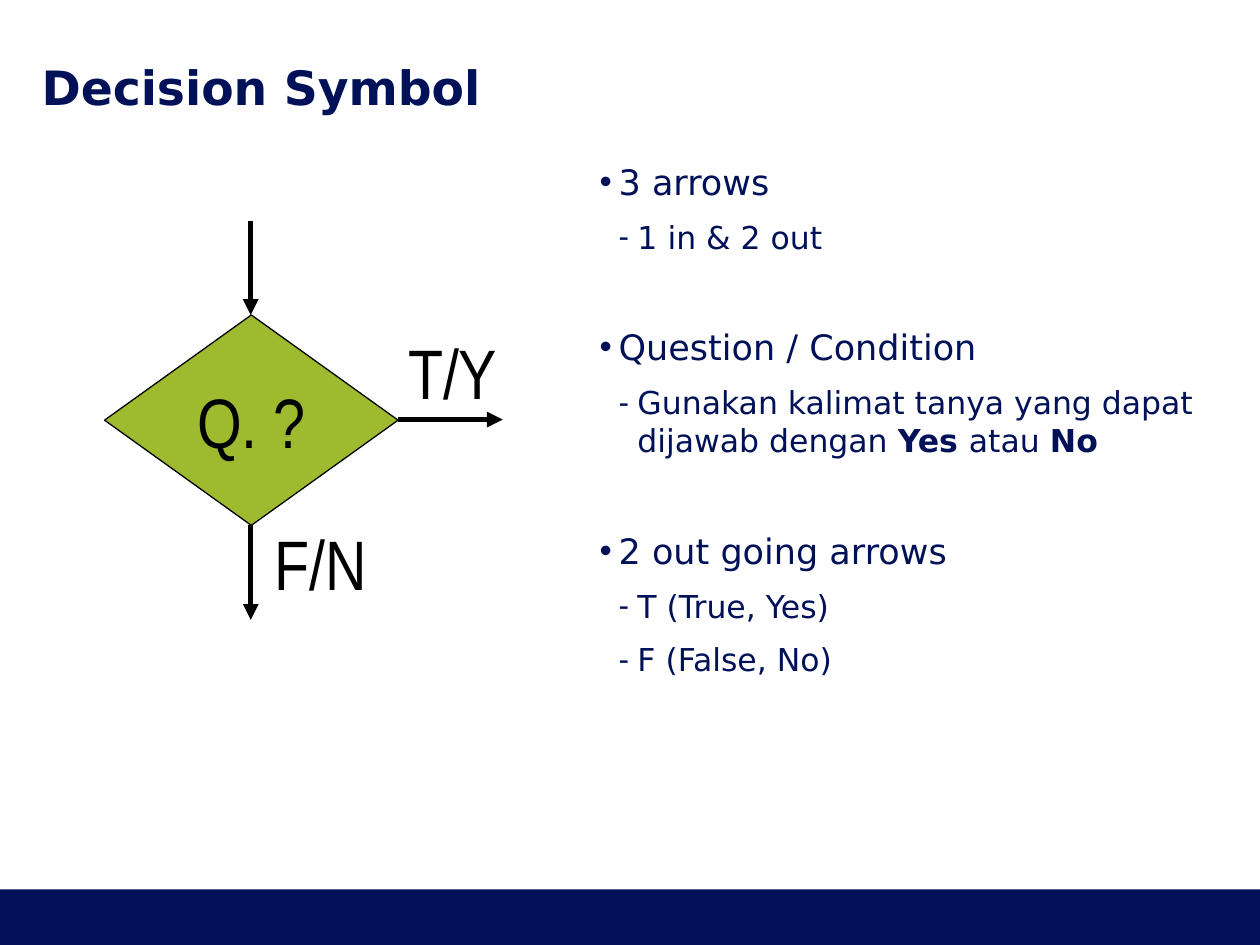
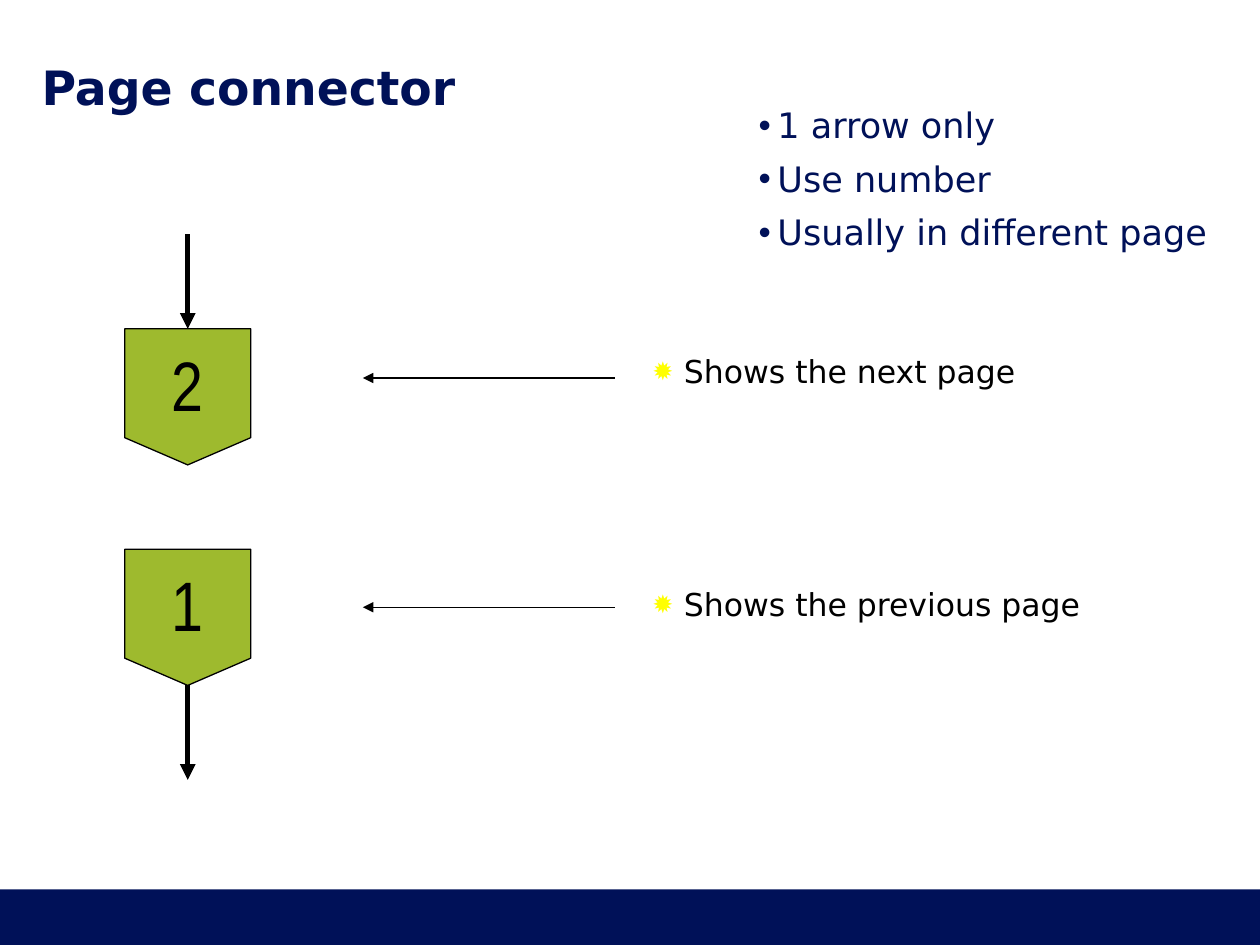
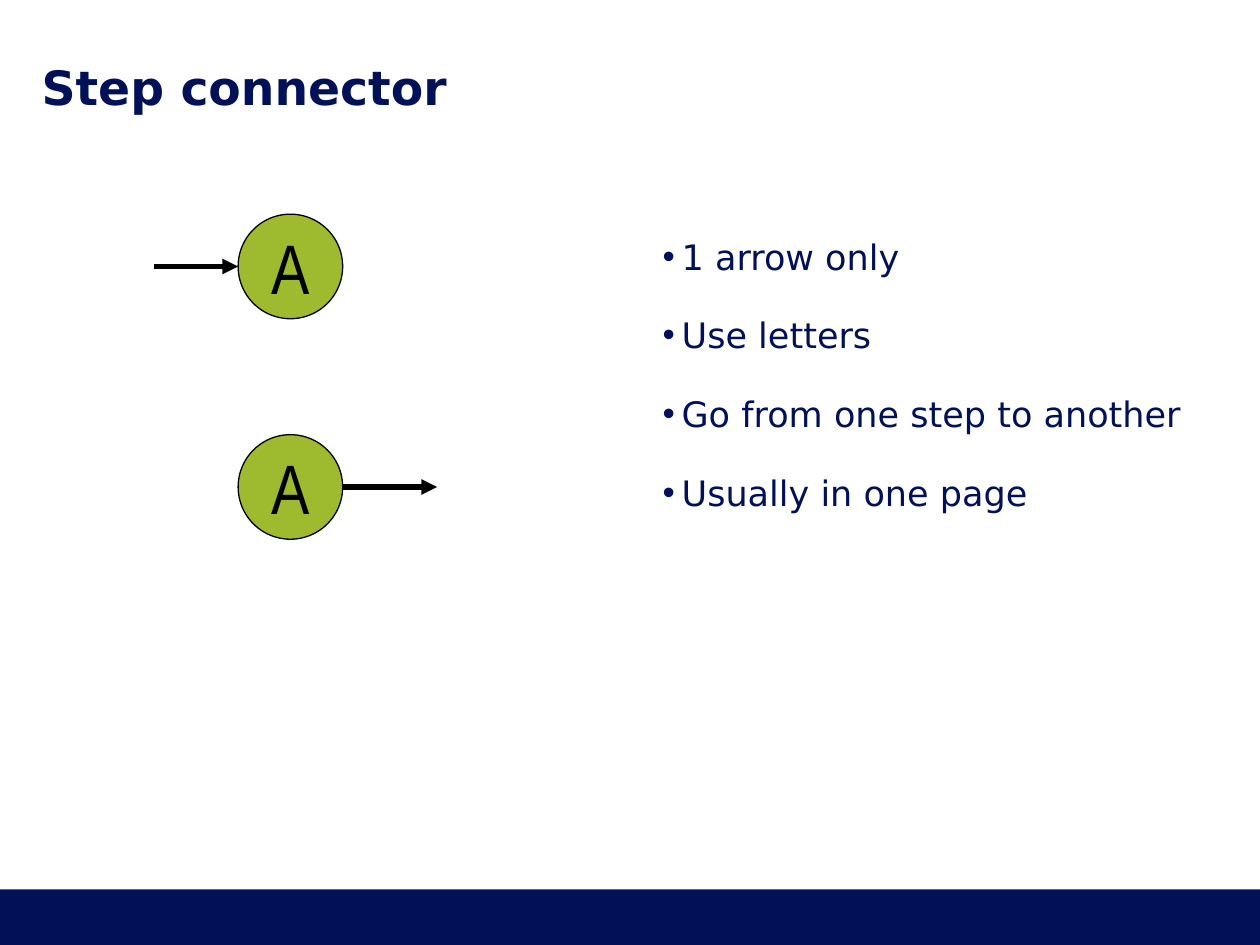
from lxml import etree
from pptx import Presentation
from pptx.dml.color import RGBColor
from pptx.enum import shapes, text
from pptx.oxml.ns import qn
from pptx.util import Inches, Pt

NAVY = RGBColor(0x00, 0x11, 0x58)
GREEN = RGBColor(0x9E, 0xBA, 0x2E)
YELLOW = RGBColor(0xFF, 0xFF, 0x00)
BLACK = RGBColor(0x00, 0x00, 0x00)
BODY_FONT = "DejaVu Sans"
BULLET_FONT = "Arial"
SYMBOL_FONT = "Arial Narrow"
SHAPE = shapes.MSO_SHAPE
ARROW = 0.75  # usual length of a flow arrow
INDENT = 0.15  # bullet indent per level
SECTION_GAP = 35.5  # points above a new bullet group


class Deck:
    """Holds the presentation, its style and the current slide."""

    def __init__(self):
        self.prs = Presentation()
        self.prs.slide_width, self.prs.slide_height = Inches(10), Inches(7.5)
        self.slide = None

    def new_slide(self, title):
        self.slide = self.prs.slides.add_slide(self.prs.slide_layouts[5])
        # Footer band
        self.shape(SHAPE.RECTANGLE, 0, 7.06, 10, 0.44, NAVY)
        # Title
        sp = self.slide.shapes.title
        sp.left, sp.top = Inches(0.33), Inches(0.45)
        sp.width, sp.height = Inches(9.34), Inches(0.47)
        tf = self.frame(sp, inset=0, anchor=text.MSO_ANCHOR.MIDDLE)
        p = tf.paragraphs[0]
        p.alignment = text.PP_ALIGN.LEFT
        self.run(p, title, 27, NAVY, bold=True)

    def frame(self, sp, inset=None, anchor=text.MSO_ANCHOR.TOP, wrap=True):
        tf = sp.text_frame
        tf.auto_size = text.MSO_AUTO_SIZE.NONE
        tf.word_wrap = wrap
        tf.vertical_anchor = anchor
        if inset is not None:
            tf.margin_left = tf.margin_right = Inches(inset)
            tf.margin_top = tf.margin_bottom = Inches(inset)
        return tf

    def run(self, p, words, size, color, font=BODY_FONT, bold=False):
        r = p.add_run()
        r.text = words
        r.font.name, r.font.size, r.font.bold = font, Pt(size), bold
        r.font.color.rgb = color

    def bullet(self, p, char, color, margin, hang, percent=100):
        pPr = p._p.get_or_add_pPr()
        pPr.set("marL", str(Inches(margin)))
        pPr.set("indent", str(-Inches(hang)))
        clr = etree.SubElement(pPr, qn("a:buClr"))
        etree.SubElement(clr, qn("a:srgbClr"), val=str(color))
        etree.SubElement(pPr, qn("a:buSzPct"), val=str(percent * 1000))
        etree.SubElement(pPr, qn("a:buFont"), typeface=BULLET_FONT)
        etree.SubElement(pPr, qn("a:buChar"), char=char)

    def shape(self, kind, x, y, w, h, fill, line=None):
        sp = self.slide.shapes.add_shape(kind, Inches(x), Inches(y), Inches(w), Inches(h))
        sp.shadow.inherit = False
        sp.fill.solid()
        sp.fill.fore_color.rgb = fill
        if line is None:
            sp.line.fill.background()
        else:
            sp.line.color.rgb, sp.line.width = line, Pt(0.75)
        return sp

    def symbol(self, kind, x, y, w, h, label):
        sp = self.shape(kind, x, y, w, h, GREEN, BLACK)
        tf = self.frame(sp, anchor=text.MSO_ANCHOR.MIDDLE, wrap=False)
        p = tf.paragraphs[0]
        p.alignment = text.PP_ALIGN.CENTER
        self.run(p, label, 40, BLACK, SYMBOL_FONT)

    def arrow(self, x1, y1, x2, y2, width=3):
        cx = self.slide.shapes.add_connector(
            shapes.MSO_CONNECTOR.STRAIGHT, Inches(x1), Inches(y1), Inches(x2), Inches(y2))
        cx.line.color.rgb, cx.line.width = BLACK, Pt(width)
        etree.SubElement(cx.line._get_or_add_ln(), qn("a:tailEnd"), type="triangle")
        etree.SubElement(cx._element.spPr, qn("a:effectLst"))

    def textbox(self, x, y, w, h, inset=None, wrap=True):
        sp = self.slide.shapes.add_textbox(Inches(x), Inches(y), Inches(w), Inches(h))
        return self.frame(sp, inset, wrap=wrap)

    def label(self, x, y, w, words):
        tf = self.textbox(x, y, w, 0.77, wrap=False)
        self.run(tf.paragraphs[0], words, 40, BLACK, SYMBOL_FONT)

    def note(self, x, y, w, words):
        p = self.textbox(x, y, w, 0.37).paragraphs[0]
        self.bullet(p, "✹", YELLOW, 0.25, 0.25, percent=80)
        p.line_spacing = 0.9
        self.run(p, words, 18, BLACK)

    def body(self, x, y, w, h, items, spacing=1.0):
        """Each item is (level, runs); every second run is bold."""
        tf = self.textbox(x, y, w, h, inset=0)
        last_level = 0
        for i, (level, runs) in enumerate(items):
            p = tf.add_paragraph() if i else tf.paragraphs[0]
            p.level = level
            self.bullet(p, "•-"[level], NAVY, INDENT * (level + 1), INDENT)
            p.line_spacing, p.space_after = spacing, Pt(4.5)
            if i:
                p.space_before = Pt(SECTION_GAP if level < last_level else 4.5)
            for n, words in enumerate(runs):
                self.run(p, words, 18 if level else 20, NAVY, bold=n % 2 == 1)
            last_level = level


def decision_slide(deck):
    deck.new_slide("Decision Symbol")
    deck.body(4.76, 1.27, 4.96, 4.95, [
        (0, ["3 arrows"]),
        (1, ["1 in & 2 out"]),
        (0, ["Question / Condition"]),
        (1, ["Gunakan kalimat tanya yang dapat dijawab dengan ", "Yes ", "atau ", "No"]),
        (0, ["2 out going arrows"]),
        (1, ["T (True, Yes)"]),
        (1, ["F (False, No)"]),
    ])
    # Decision diamond with one arrow in and two out
    center, top, bottom, right, middle = 1.99, 2.5, 4.17, 3.16, 3.33
    deck.arrow(center, bottom, center, bottom + ARROW)
    deck.arrow(center, top - ARROW, center, top)
    deck.symbol(SHAPE.FLOWCHART_DECISION, 0.83, top, 2.33, bottom - top, "Q. ?")
    deck.arrow(right, middle, 3.99, middle)
    deck.label(3.14, 2.57, 0.92, "T/Y")
    deck.label(2.08, 4.08, 0.94, "F/N")


def page_connector_slide(deck):
    deck.new_slide("Page connector")
    deck.body(6.02, 0.86, 3.78, 1.38, [
        (0, ["1 arrow only"]),
        (0, ["Use number"]),
        (0, ["Usually in different page"]),
    ], spacing=0.9)
    # Off-page connectors: arrow into the next page, arrow out of the previous one
    center, height, next_top, prev_top = 1.49, 1.08, 2.61, 4.36
    deck.arrow(center, next_top - ARROW, center, next_top)
    deck.arrow(center, prev_top + height, center, prev_top + height + ARROW)
    for number, top in (("2", next_top), ("1", prev_top)):
        deck.symbol(SHAPE.FLOWCHART_OFFPAGE_CONNECTOR, center - 0.5, top, 1, height, number)
    # Explanations
    for y, note_top, width, words in (
            (3, 2.78, 3.92, "Shows the next page"),
            (4.82, 4.63, 4.58, "Shows the previous page")):
        deck.arrow(4.88, y, 2.88, y, width=0.75)
        deck.note(5.08, note_top, width, words)


def step_connector_slide(deck):
    deck.new_slide("Step connector")
    deck.body(5.26, 1.7, 4.41, 4.95, [
        (0, ["1 arrow only"]),
        (0, ["Use letters"]),
        (0, ["Go from one step to another"]),
        (0, ["Usually in one page"]),
    ], spacing=1.5)
    # Matching circles: arrow in above, arrow out below
    left, size, in_top, out_top = 1.89, 0.83, 1.7, 3.45
    in_y, out_y = in_top + size / 2, out_top + size / 2
    deck.arrow(1.22, in_y, left, in_y)
    deck.arrow(left + size, out_y, left + size + ARROW, out_y)
    for top in (in_top, out_top):
        deck.symbol(SHAPE.FLOWCHART_CONNECTOR, left, top, size, size, "A")


def main():
    deck = Deck()
    decision_slide(deck)
    page_connector_slide(deck)
    step_connector_slide(deck)
    deck.prs.save("out.pptx")


if __name__ == "__main__":
    main()
